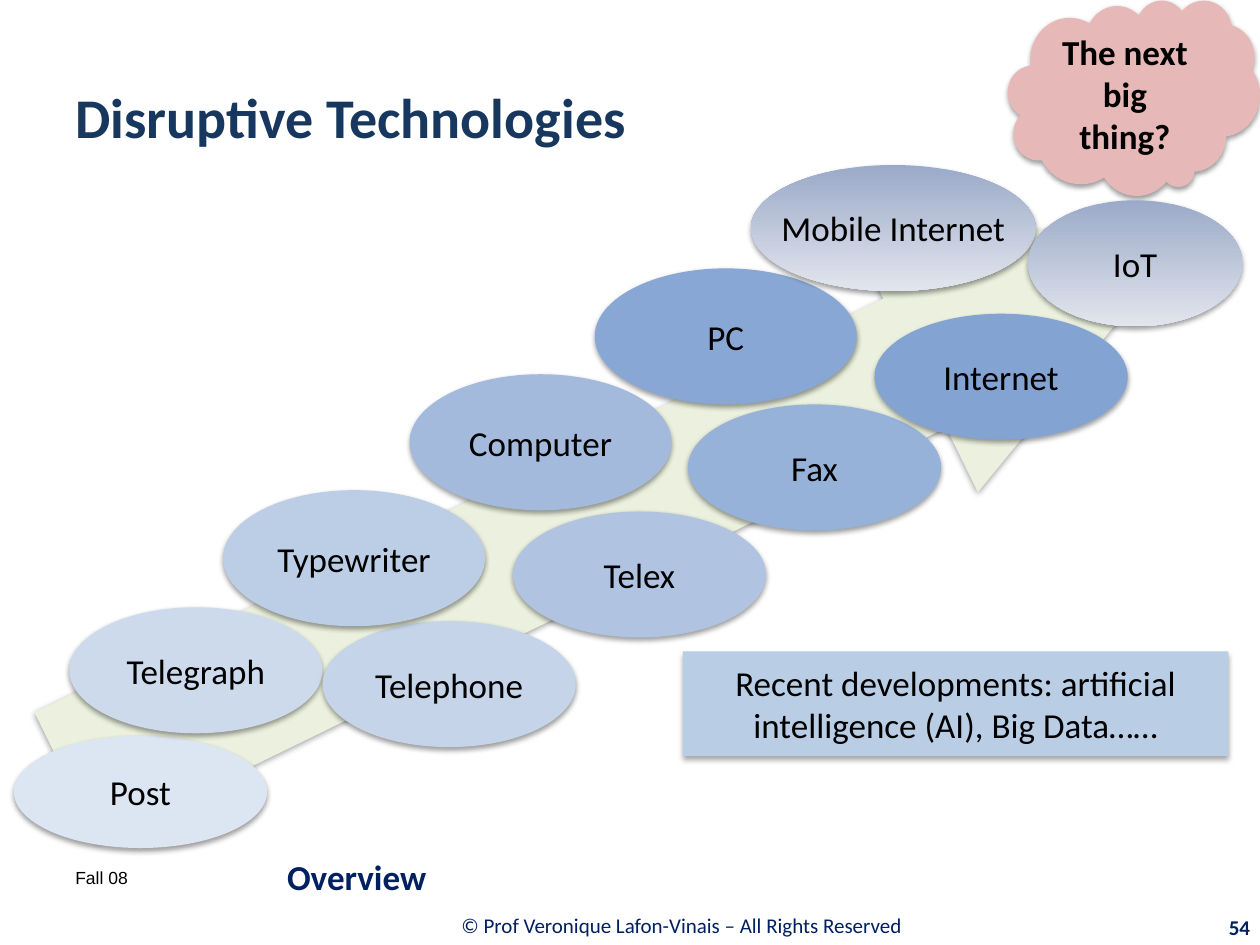
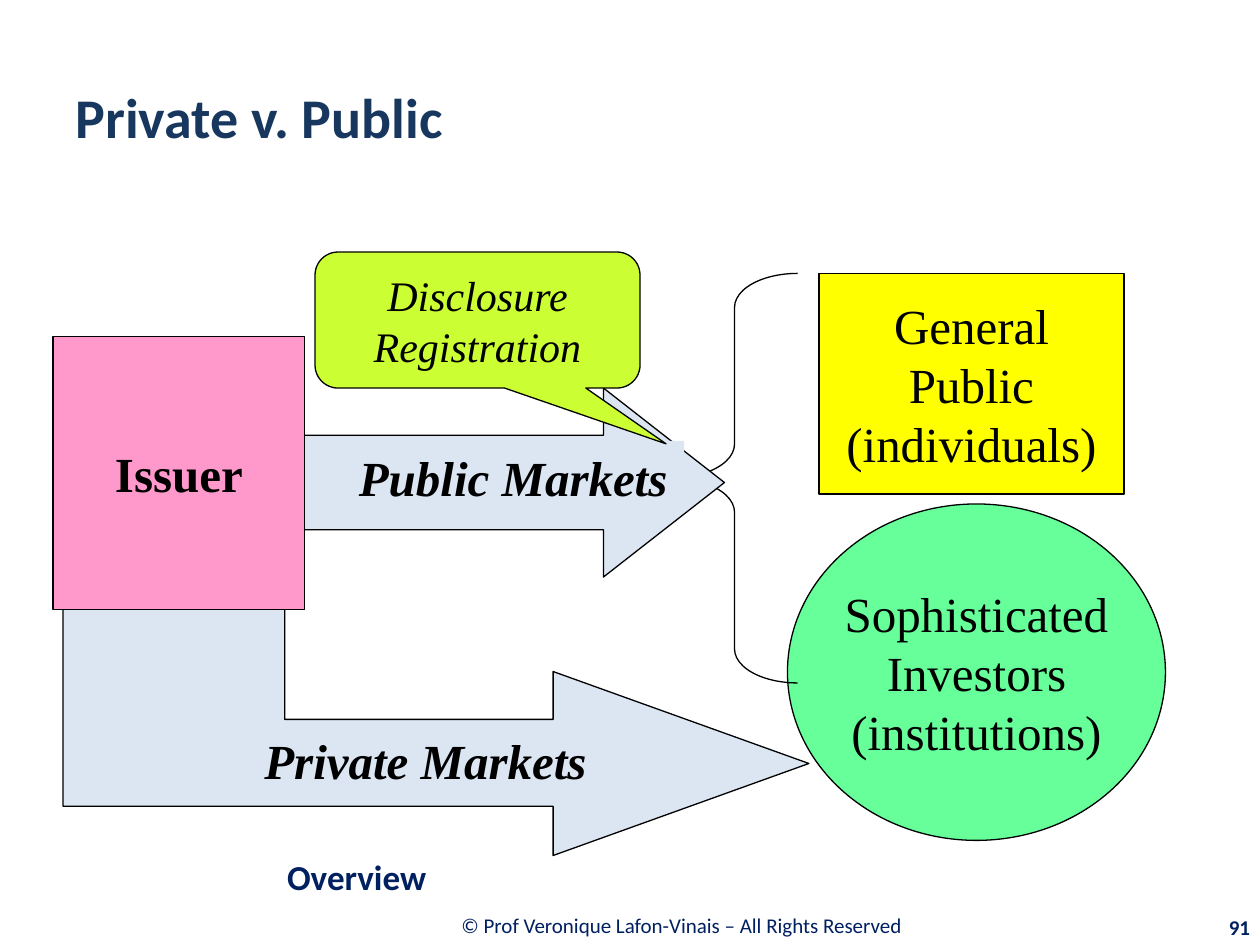
from dataclasses import dataclass

from lxml import etree
from pptx import Presentation
from pptx.dml.color import RGBColor
from pptx.enum.shapes import MSO_SHAPE
from pptx.enum.text import MSO_ANCHOR, PP_ALIGN
from pptx.oxml.ns import qn
from pptx.util import Inches, Pt

LEFT, CENTER, RIGHT = PP_ALIGN.LEFT, PP_ALIGN.CENTER, PP_ALIGN.RIGHT
TOP, MIDDLE = MSO_ANCHOR.TOP, MSO_ANCHOR.MIDDLE
RECT, OVAL = MSO_SHAPE.RECTANGLE, MSO_SHAPE.OVAL
RIGHT_ARROW, NOTCHED_ARROW = MSO_SHAPE.RIGHT_ARROW, MSO_SHAPE.NOTCHED_RIGHT_ARROW
CLOUD, BRACE = MSO_SHAPE.CLOUD_CALLOUT, MSO_SHAPE.LEFT_BRACE
CALLOUT = MSO_SHAPE.ROUNDED_RECTANGULAR_CALLOUT


@dataclass(frozen=True)
class Theme:
    # Fonts
    sans: str = "Calibri"
    serif: str = "Times New Roman"
    plain: str = "Arial"
    # Type sizes
    title_size: int = 32
    diagram_size: int = 28
    callout_size: int = 24
    label_size: int = 20
    footer_size: int = 12
    date_size: int = 10
    # Colours
    title: str = "17375E"
    navy: str = "002060"
    ink: str = "000000"
    trend: str = "EBF1DE"
    cloud: str = "E6B9B8"
    recent: str = "B9CDE5"
    market: str = "DCE6F2"
    issuer: str = "FF99CC"
    public: str = "FFFF00"
    investors: str = "66FF99"
    disclosure: str = "CCFF33"
    fade: tuple = ("9BAAC9", "E2E5ED")


T = Theme()


def rgb(code):
    return RGBColor.from_string(code)


def write(tf, text, size=T.label_size, font=T.sans, color=T.ink, bold=False,
          italic=False, align=CENTER, anchor=MIDDLE, wrap=True):
    """Fill a text frame, one paragraph for each line of text."""
    tf.word_wrap = wrap
    tf.vertical_anchor = anchor
    for i, line in enumerate(text.split("\n")):
        p = tf.paragraphs[0] if i == 0 else tf.add_paragraph()
        p.alignment = align
        r = p.add_run()
        r.text = line
        r.font.name, r.font.size = font, Pt(size)
        r.font.bold, r.font.italic = bold, italic
        r.font.color.rgb = rgb(color)


def add_text(slide, box, text, **fmt):
    s = slide.shapes.add_textbox(*map(Inches, box))
    write(s.text_frame, text, **fmt)


def add_shadow(s, alpha=38, dist=1.6):
    effects = s._element.spPr.find(qn("a:effectLst"))
    shadow = etree.SubElement(
        effects, qn("a:outerShdw"), blurRad=str(Pt(3.1)), dist=str(Pt(dist)),
        dir="5400000", rotWithShape="0")
    color = etree.SubElement(shadow, qn("a:srgbClr"), val=T.ink)
    etree.SubElement(color, qn("a:alpha"), val=str(alpha * 1000))


def paint(s, fill=None, outline=False):
    """Apply a solid, two-colour gradient or empty fill, and a thin line."""
    s.shadow.inherit = False
    if fill is None:
        s.fill.background()
    elif isinstance(fill, tuple):
        s.fill.gradient()
        s.fill.gradient_angle = 270
        for stop, code in zip(s.fill.gradient_stops, fill):
            stop.color.rgb = rgb(code)
    else:
        s.fill.solid()
        s.fill.fore_color.rgb = rgb(fill)
    if outline:
        s.line.color.rgb = rgb(T.ink)
        s.line.width = Pt(0.75)
    else:
        s.line.fill.background()


def add_shape(slide, kind, box, fill=None, text="", outline=False, adj=(), **fmt):
    s = slide.shapes.add_shape(kind, *map(Inches, box))
    for i, value in enumerate(adj):
        s.adjustments[i] = value
    paint(s, fill, outline)
    if text:
        write(s.text_frame, text, **fmt)
    return s


def add_outline(slide, points, fill):
    start, *rest = [tuple(map(Inches, point)) for point in points]
    builder = slide.shapes.build_freeform(*start)
    builder.add_line_segments(rest, close=True)
    paint(builder.convert_to_shape(), fill, outline=True)


def add_bubble(slide, box, text, fill):
    add_shadow(add_shape(slide, OVAL, box, fill, text, wrap=False))


def add_slide(prs, title, number):
    """Start a slide with the shared title, section name and footer."""
    slide = prs.slides.add_slide(prs.slide_layouts[5])
    s = slide.shapes.title
    s.left, s.top, s.width, s.height = map(Inches, (0.5, 0.3, 9, 1.25))
    write(s.text_frame, title, size=T.title_size, color=T.title, bold=True, align=LEFT)
    add_text(slide, (2.19, 7.15, 6.48, 0.39),
             "© Prof Veronique Lafon-Vinais – All Rights Reserved ",
             size=T.footer_size, color=T.navy)
    add_text(slide, (9.01, 7.2, 1.01, 0.32), number,
             size=T.footer_size, color=T.navy, bold=True, align=RIGHT)
    add_text(slide, (2.18, 6.72, 7.82, 0.47), "Overview",
             color=T.navy, bold=True, align=LEFT)
    return slide


def build_technologies(prs):
    slide = add_slide(prs, "Disruptive Technologies", "54")
    add_text(slide, (0.5, 6.83, 2.33, 0.5), "Fall 08", size=T.date_size,
             font=T.plain, align=LEFT, anchor=TOP)

    # Rising trend arrow
    trend = add_shape(slide, RIGHT_ARROW, (0.02, 2.84, 9.98, 2.28), T.trend,
                      adj=(0.5, 1.09))
    trend.rotation = 334
    add_shadow(trend)

    # Technologies along the trend
    add_bubble(slide, (0.11, 5.84, 2.01, 0.89), "Post", T.market)
    lower = [("Telegraph", 0.55, 4.82, "CCDAEC"), ("Telephone", 2.56, 4.93, "C5D4E9"),
             ("Telex", 4.07, 4.06, "B0C4E2"), ("Fax", 5.46, 3.21, "97B2D9"),
             ("Internet", 6.94, 2.49, "83A3D3")]
    upper = [("Typewriter", 1.77, 3.89, "BCCDE6"), ("Computer", 3.25, 2.97, "A3BADD"),
             ("PC", 4.72, 2.13, "88A7D4")]
    for row, size in ((lower, (2.01, 1)), (upper, (2.08, 1.08))):
        for name, x, y, fill in row:
            add_bubble(slide, (x, y, *size), name, fill)

    # What comes next
    add_shadow(add_shape(slide, CLOUD, (8, 0, 2, 1.55), T.cloud,
                         "The next big thing?", adj=(0.08, 0.17), bold=True))
    recent = add_shape(slide, RECT, (5.42, 5.17, 4.33, 0.83), T.recent,
                       "Recent developments: artificial intelligence (AI), Big Data……")
    add_shadow(recent, alpha=35, dist=1.8)
    add_bubble(slide, (5.96, 1.31, 2.26, 1), "Mobile Internet", T.fade)
    add_bubble(slide, (8.16, 1.59, 1.7, 1), "IoT", T.fade)


def build_markets(prs):
    slide = add_slide(prs, "Private v. Public", "91")
    party = dict(size=T.diagram_size, font=T.serif, wrap=False)
    market = dict(party, bold=True, italic=True, align=LEFT, anchor=TOP)

    # Private route
    add_shape(slide, RECT, (6.5, 2.17, 2.42, 1.75), T.public,
              "General\nPublic\n(individuals)", outline=True, **party)
    add_outline(slide, [(6.42, 6.06), (4.39, 5.33), (4.39, 5.71), (2.26, 5.71),
                        (2.26, 4.08), (0.5, 4.08), (0.5, 6.4), (4.39, 6.4),
                        (4.39, 6.79)], T.market)
    add_text(slide, (2, 5.75, 2.92, 0.57), "Private Markets", **market)
    add_shape(slide, OVAL, (6.25, 4, 3, 2.67), T.investors,
              "Sophisticated\nInvestors\n(institutions)", outline=True, **party)

    # Public route
    add_shape(slide, BRACE, (5.33, 2.17, 1, 3.25), outline=True, adj=(0.27, 0.5))
    add_shape(slide, NOTCHED_ARROW, (1.92, 3.08, 3.83, 1.5), T.market,
              outline=True, adj=(0.5, 0.64))
    add_shape(slide, RECT, (2.75, 3.5, 2.68, 0.57), T.market, "Public Markets", **market)

    # Issuer and its duties
    add_shape(slide, RECT, (0.42, 2.67, 2, 2.17), T.issuer, "Issuer",
              outline=True, bold=True, **party)
    add_shape(slide, CALLOUT, (2.5, 2, 2.58, 1.08), T.disclosure,
              "Disclosure\nRegistration", outline=True, adj=(0.58, 0.91, 0.17),
              size=T.callout_size, font=T.serif, italic=True)


def main():
    prs = Presentation()
    prs.slide_width, prs.slide_height = Inches(10), Inches(7.5)
    build_technologies(prs)
    build_markets(prs)
    prs.save("out.pptx")


if __name__ == "__main__":
    main()
